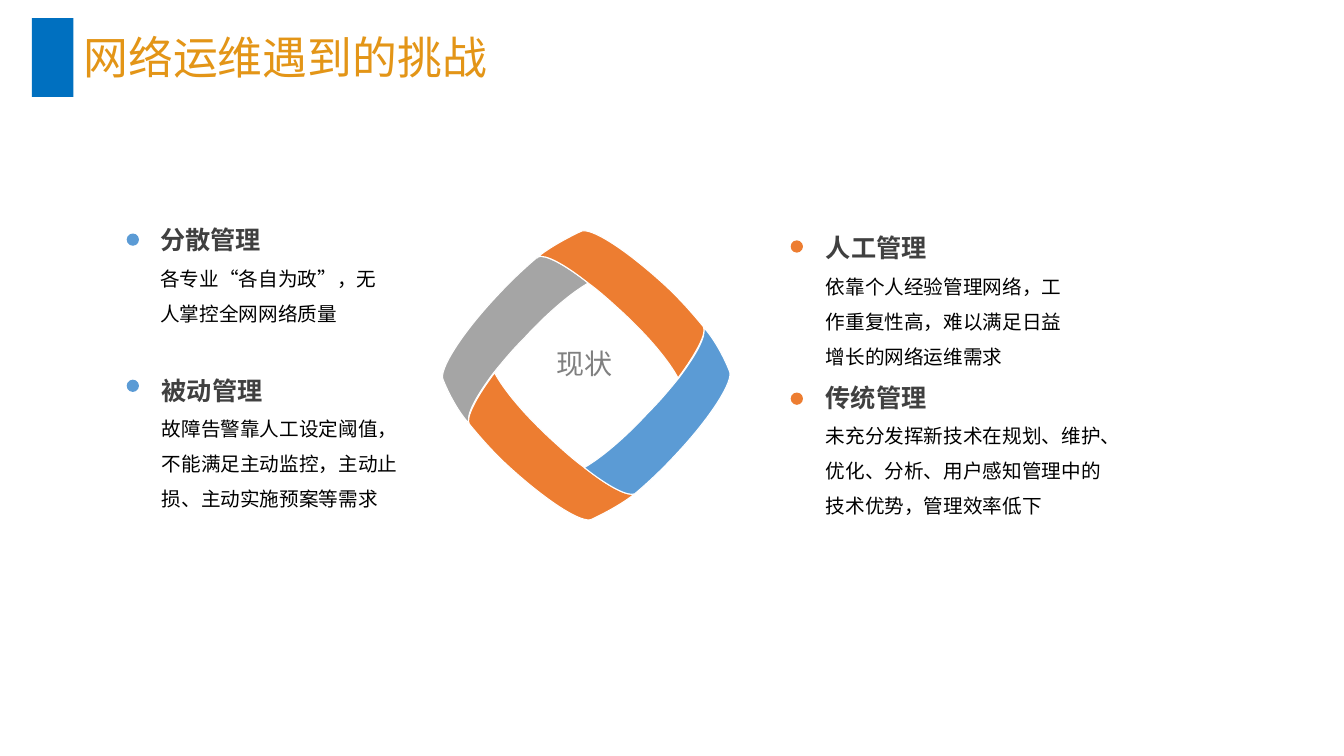
from dataclasses import dataclass

from lxml.etree import SubElement
from pptx import Presentation
from pptx.dml.color import RGBColor
from pptx.enum.shapes import MSO_SHAPE as Shape
from pptx.enum.text import MSO_AUTO_SIZE as AutoSize, PP_ALIGN as Align
from pptx.oxml.ns import qn
from pptx.util import Pt

Point = tuple[float, float]


@dataclass(frozen=True)
class Theme:
    accent: str = "0070C0"
    title: str = "E39517"
    heading: str = "404040"
    body: str = "000000"
    center: str = "808080"
    gray: str = "A5A5A5"
    orange: str = "ED7D31"
    blue: str = "5B9BD5"
    red: str = "ED5463"
    green: str = "A1D469"
    white: str = "FFFFFF"
    title_size: float = 32
    center_size: float = 20
    heading_size: float = 18
    body_size: float = 14
    line: float = 0.75


@dataclass(frozen=True)
class Style:
    font: str
    size: float
    color: str
    bold: bool = False
    spacing: float | None = None


@dataclass(frozen=True)
class Challenge:
    dot: Point
    color: str
    left: float
    heading_top: float
    heading_width: float
    heading: str
    body_top: float
    body_width: float
    body_height: float
    body: str


@dataclass(frozen=True)
class Band:
    outline: list[Point]
    turn: int
    color: str


T = Theme()
TITLE = Style("Noto Sans CJK SC", T.title_size, T.title)
HEADING = Style("Arial", T.heading_size, T.heading, bold=True)
BODY = Style("Calibri", T.body_size, T.body, spacing=1.5)
CENTER = Style("Calibri", T.center_size, T.center)

RING_X, RING_Y = 418.8, 268.1
DOT = 8

SIDE_BAND = [
    (1.4, -65.9), (-10.1, -59.4), (-27.4, -45), (-43.9, -27),
    (-52.6, -18.4), (-59.8, -9.7), (-66.2, -1.8),
    (-79.2, 15.5), (-86.4, 29.2), (-83.5, 34.2),
    (-83.5, 34.2), (-83.9, 34.2), (-83.9, 34.2),
    (-95, 22), (-102.2, 3.2), (-102.2, 3.2),
    (-105.8, -3.2), (-89.3, -29.9), (-62.6, -58),
    (-53.3, -68), (-43.2, -77.4), (-34.6, -84.6),
    (-30.2, -86.8), (-15.8, -79.6), (1.4, -65.9),
]
TOP_BAND = [
    (83.5, -34.9), (83.5, -34.9), (83.5, -34.9), (83.5, -34.9),
    (86.4, -30.6), (78.5, -15.5), (65.5, 1.8),
    (59, -10.4), (44.6, -27.7), (25.9, -45),
    (17.3, -52.9), (9.4, -60.1), (1.4, -65.9),
    (-15.8, -79.6), (-29.5, -86.8), (-34.6, -84.6),
    (-34.6, -84.6), (-34.6, -84.6), (-34.6, -84.6),
    (-23, -94), (-4.3, -102.6), (-4.3, -102.6),
    (2.2, -106.9), (28.8, -89.6), (56.9, -63.7),
    (67.7, -53.6), (76.3, -43.6), (83.5, -34.9),
]
JOINT = [(34.6, 84.2), (34.8, 84.2), (35, 84), (35, 83.8), (35, 84), (34.8, 84.2), (34.6, 84.2)]
BANDS = [
    Band(SIDE_BAND, 1, T.gray),
    Band(TOP_BAND, -1, T.orange),
    Band(JOINT, 1, T.red),
    Band(SIDE_BAND, -1, T.blue),
    Band(TOP_BAND, 1, T.orange),
    Band(JOINT, -1, T.green),
]
CHALLENGES = [
    Challenge((90.9, 167.2), T.blue, 107.5, 157, 110.2, "分散管理", 178.6, 180, 58.3,
              "各专业“各自为政”，无人掌控全网网络质量"),
    Challenge((90.9, 271.6), T.blue, 108.5, 264.8, 141.1, "被动管理", 285.8, 191.5, 83.5,
              "故障告警靠人工设定阈值，不能满足主动监控，主动止损、主动实施预案等需求"),
    Challenge((565.2, 172.1), T.orange, 582.8, 162.2, 123.8, "人工管理", 184.4, 187.2, 83.5,
              "依靠个人经验管理网络，工作重复性高，难以满足日益增长的网络运维需求"),
    Challenge((565.2, 280.8), T.orange, 582.8, 269.3, 110.2, "传统管理", 290.7, 212.4, 83.5,
              "未充分发挥新技术在规划、维护、优化、分析、用户感知管理中的技术优势，管理效率低下"),
]


def paint(sp, fill: str, line: str | None = None) -> None:
    """Give a shape a flat fill and an optional outline."""
    sp.shadow.inherit = False
    sp.fill.solid()
    sp.fill.fore_color.rgb = RGBColor.from_string(fill)
    if line is None:
        sp.line.fill.background()
    else:
        sp.line.color.rgb = RGBColor.from_string(line)
        sp.line.width = Pt(T.line)


def add_text(s, left: float, top: float, width: float, height: float, text: str, style: Style):
    """Add a wrapped text box holding one styled paragraph."""
    sp = s.shapes.add_textbox(Pt(left), Pt(top), Pt(width), Pt(height))
    tf = sp.text_frame
    tf.word_wrap = True
    tf.auto_size = AutoSize.SHAPE_TO_FIT_TEXT
    p = tf.paragraphs[0]
    p.text = text
    p.line_spacing = style.spacing
    p.font.name = style.font
    p.font.size = Pt(style.size)
    p.font.bold = style.bold
    p.font.color.rgb = RGBColor.from_string(style.color)
    return sp


def bend(sp) -> None:
    """Turn each three line segments of a freeform into one cubic curve."""
    outline = next(sp._element.iter(qn("a:path")))
    lines = outline.findall(qn("a:lnTo"))
    close = outline.find(qn("a:close"))
    for i in range(0, len(lines), 3):
        curve = SubElement(outline, qn("a:cubicBezTo"))
        for line in lines[i:i + 3]:
            curve.append(line[0])
            outline.remove(line)
    outline.append(close)


def add_band(s, band: Band) -> None:
    """Draw one curved ring part, turned half round when turn is -1."""
    points = [
        (Pt(RING_X + band.turn * x), Pt(RING_Y + band.turn * y)) for x, y in band.outline
    ]
    builder = s.shapes.build_freeform(*points[0])
    builder.add_line_segments(points[1:], close=False)
    builder.add_line_segments([], close=True)
    sp = builder.convert_to_shape()
    bend(sp)
    paint(sp, band.color, T.white)


def add_challenge(s, item: Challenge) -> None:
    """Draw a dot, a heading and its explanation."""
    x, y = item.dot
    dot = s.shapes.add_shape(Shape.OVAL, Pt(x), Pt(y), Pt(DOT), Pt(DOT))
    paint(dot, item.color, item.color)
    add_text(s, item.left, item.heading_top, item.heading_width, 29, item.heading, HEADING)
    add_text(s, item.left, item.body_top, item.body_width, item.body_height, item.body, BODY)


def add_center_label(s) -> None:
    """Write the label in the middle of the ring."""
    sp = add_text(s, 377.3, 254.9, 80.6, 23.8, "现状", CENTER)
    tf = sp.text_frame
    tf.auto_size = AutoSize.NONE
    tf.margin_left = tf.margin_right = Pt(5)
    tf.margin_top = tf.margin_bottom = Pt(2.8)
    p = tf.paragraphs[0]
    p.alignment = Align.CENTER
    p.line_spacing = Pt(13.8)


def main() -> None:
    """Build the slide and save it."""
    prs = Presentation()
    prs.slide_width, prs.slide_height = Pt(960), Pt(540)
    s = prs.slides.add_slide(prs.slide_layouts[6])
    paint(s.shapes.add_shape(Shape.RECTANGLE, Pt(22.7), Pt(13), Pt(29.8), Pt(56.2)), T.accent)
    add_text(s, 52.6, 18, 627.8, 46, "网络运维遇到的挑战", TITLE)
    for band in BANDS:
        add_band(s, band)
    for item in CHALLENGES:
        add_challenge(s, item)
    add_center_label(s)
    prs.save("out.pptx")


if __name__ == "__main__":
    main()
